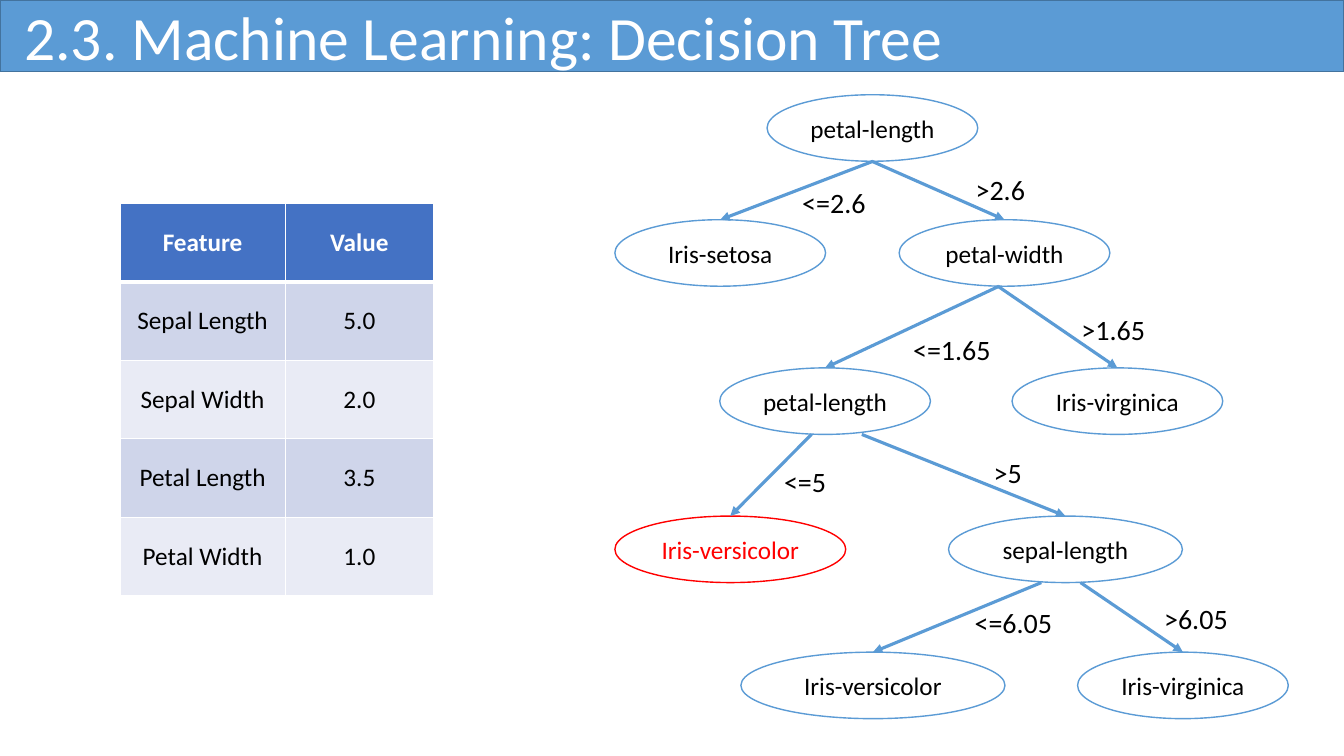
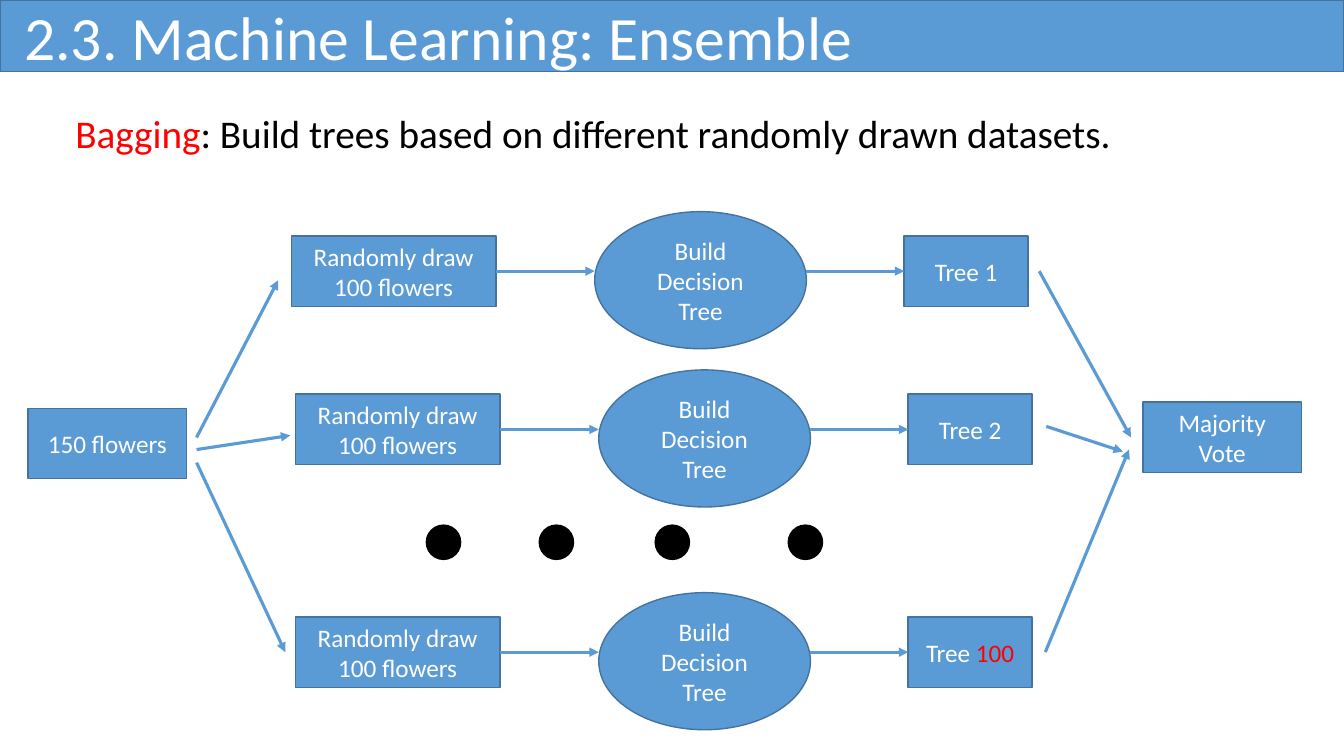
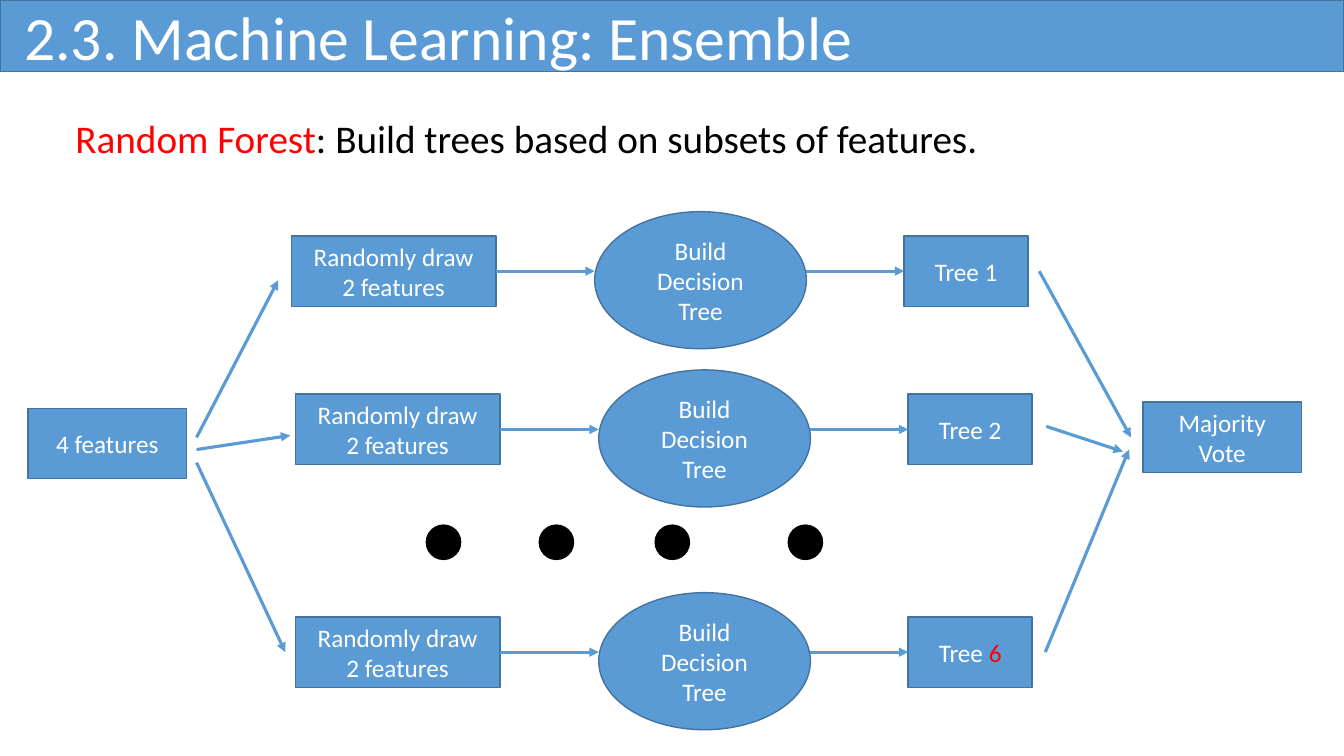
import lxml.etree
import pptx
import pptx.dml.color
import pptx.enum.shapes
import pptx.enum.text
import pptx.oxml.ns
import pptx.util

CELL = 0.1  # side of a square grid cell in inches
COLS, ROWS = 133.33, 75
BLUE, EDGE, RED, BLACK, WHITE = "5B9BD5", "43739E", "FF0000", "000000", "FFFFFF"
HEAD, BANDS = "4472C4", ("CFD5EA", "E9EBF5")
FONT = "Calibri"

KIND = pptx.enum.shapes.MSO_SHAPE
ALIGN = pptx.enum.text.PP_ALIGN
ANCHOR = pptx.enum.text.MSO_ANCHOR
TOP, LEFT, RIGHT = 0, 1, 3
qn = pptx.oxml.ns.qn


def grid(*cells):
    return [pptx.util.Inches(n * CELL) for n in cells]


def color(code):
    return pptx.dml.color.RGBColor.from_string(code)


def fill(thing, code):
    thing.fill.solid()
    thing.fill.fore_color.rgb = color(code)


def write(frame, text, size=18, ink=BLACK, bold=False, align=ALIGN.CENTER,
          anchor=ANCHOR.MIDDLE, wrap=True, space=None, before=None):
    """Fill a frame: a new line is a paragraph, *marked* words are red."""
    frame.word_wrap = wrap
    frame.vertical_anchor = anchor
    for i, line in enumerate(text.split("\n")):
        para = frame.add_paragraph() if i else frame.paragraphs[0]
        para.alignment = align
        if space:
            para.line_spacing = space
        if before:
            para.space_before = pptx.util.Pt(before)
        for j, piece in enumerate(line.split("*")):
            if piece:
                run = para.add_run()
                run.text = piece
                run.font.name = FONT
                run.font.size = pptx.util.Pt(size)
                run.font.bold = bold
                run.font.color.rgb = color(RED if j % 2 else ink)


class Deck:
    """The open presentation and the slide being drawn."""

    def __init__(self):
        self.show = pptx.Presentation()
        self.show.slide_width, self.show.slide_height = grid(COLS, ROWS)

    def page(self, title):
        self.slide = self.show.slides.add_slide(self.show.slide_layouts[6])
        band = self.shape(KIND.RECTANGLE, 0, 0, COLS, 7.1)
        band.text_frame.margin_left, = grid(2.4)
        write(band.text_frame, title, size=44, ink=WHITE, align=ALIGN.LEFT)

    def shape(self, kind, x, y, w, h, text="", paint=BLUE, edge=EDGE, ink=WHITE):
        item = self.slide.shapes.add_shape(kind, *grid(x, y, w, h))
        item.shadow.inherit = False
        fill(item, paint)
        item.line.color.rgb = color(edge)
        item.line.width = pptx.util.Pt(1)
        if text:
            write(item.text_frame, text, ink=ink)
        return item

    def label(self, text, x, y, w, h, **style):
        box = self.slide.shapes.add_textbox(*grid(x, y, w, h))
        write(box.text_frame, text, align=ALIGN.LEFT, anchor=ANCHOR.TOP, **style)

    def arrow(self, start, end, begin=None, finish=None):
        """Draw an arrow; begin and finish are (shape, side) joints."""
        kind = pptx.enum.shapes.MSO_CONNECTOR.STRAIGHT
        item = self.slide.shapes.add_connector(kind, *grid(*start, *end))
        if begin:
            item.begin_connect(*begin)
        if finish:
            item.end_connect(*finish)
        item.line.color.rgb = color(BLUE)
        item.line.width = pptx.util.Pt(2.25)
        props = item.element.spPr
        lxml.etree.SubElement(props.find(qn("a:ln")), qn("a:tailEnd"), type="triangle")
        lxml.etree.SubElement(props, qn("a:effectLst"))

    def table(self, x, y, widths, high, rows):
        size = grid(x, y, sum(widths), high * len(rows))
        table = self.slide.shapes.add_table(len(rows), len(widths), *size).table
        for col, wide in zip(table.columns, grid(*widths)):
            col.width = wide
        for r, row in enumerate(rows):
            table.rows[r].height, = grid(high)
            for c, text in enumerate(row):
                cell = table.cell(r, c)
                fill(cell, BANDS[(r - 1) % 2] if r else HEAD)
                write(cell.text_frame, text, ink=BLACK if r else WHITE, bold=r == 0)
                cell.vertical_anchor = ANCHOR.MIDDLE
                self.rim(cell, L=1, R=1, T=3 if r == 1 else 1, B=1 if r else 3)

    def rim(self, cell, **sides):
        """Set white cell borders, widths in points by side letter."""
        props = cell._tc.get_or_add_tcPr()
        for i, (side, width) in enumerate(sides.items()):
            line = lxml.etree.Element(qn("a:ln" + side), w=str(pptx.util.Pt(width)))
            paint = lxml.etree.SubElement(line, qn("a:solidFill"))
            lxml.etree.SubElement(paint, qn("a:srgbClr"), val=WHITE)
            props.insert(i, line)


def tree(deck):
    deck.page("2.3. Machine Learning: Decision Tree")
    deck.table(11.9, 20.2, (16.4, 14.7), 7.78, [
        ("Feature", "Value"), ("Sepal Length", "5.0"), ("Sepal Width", "2.0"),
        ("Petal Length", "3.5"), ("Petal Width", "1.0")])
    wide, high = 20.9, 6.6
    nodes = {
        "root": ("petal-length", 76.1, 9.4, wide),
        "setosa": ("Iris-setosa", 61, 21.8, wide),
        "width": ("petal-width", 89.2, 21.8, wide),
        "length": ("petal-length", 71.4, 36.5, wide),
        "right": ("Iris-virginica", 100.4, 36.5, wide),
        "match": ("*Iris-versicolor*", 61, 51.2, 22.9),
        "sepal": ("sepal-length", 94.1, 51.2, 23.2),
        "versi": ("Iris-versicolor", 73.5, 64.7, 26.2),
        "last": ("Iris-virginica", 106.9, 64.7, wide),
    }
    drawn = {
        name: deck.shape(KIND.OVAL, x, y, w, high, text, paint=WHITE,
                         edge=RED if name == "match" else BLUE, ink=BLACK)
        for name, (text, x, y, w) in nodes.items()}
    # parent, child, start column, rule, rule column, rule row
    for above, below, start, rule, x, y in (
            ("root", "setosa", 86.6, "<=2.6", 78.6, 17.9),
            ("root", "width", 86.5, ">2.6", 95.8, 16.6),
            ("width", "length", 99.1, "<=1.65", 89.6, 32.5),
            ("width", "right", 99, ">1.65", 106.3, 30.5),
            ("length", "match", 80.5, "<=5", 76.8, 45.6),
            ("length", "sepal", 85.5, ">5", 97.6, 44.7),
            ("sepal", "versi", 103.3, "<=6.05", 95.7, 59.6),
            ("sepal", "last", 107.2, ">6.05", 114.5, 59.2)):
        left, top, w = nodes[below][1:]
        deck.arrow((start, nodes[above][2] + high), (left + w / 2, top),
                   finish=(drawn[below], TOP))
        deck.label(rule, x, y, 2.5 + 1.25 * len(rule), 4.2, size=20, wrap=False)


def forest(deck, claim, top, source, draw, count):
    """Draw many trees that vote, built from random parts of the source."""
    deck.page("2.3. Machine Learning: Ensemble")
    deck.label(claim, 6.5, top, 110.7, 8.3, size=28, space=0.9, before=5)
    high = 7
    for mid, shift, name in ((26.9, -0.4, "1"), (42.6, 0, "2"), (64.7, 0, f"*{count}*")):
        y = mid - high / 2
        pick = deck.shape(KIND.RECTANGLE, 29.3 + shift, y, 20.3, high, draw)
        deck.shape(KIND.OVAL, 59.4 + shift, mid - 5.9, 21, 13.6, "Build Decision Tree")
        vote = deck.shape(KIND.RECTANGLE, 90.1 + shift, y, 12.3, high, f"Tree {name}")
        deck.arrow((49.6 + shift, mid), (59.4 + shift, mid), begin=(pick, RIGHT))
        deck.arrow((80.4 + shift, mid), (90.1 + shift, mid), finish=(vote, LEFT))
    for x in (42.3, 53.5, 65, 78.2):
        deck.shape(KIND.OVAL, x, 52.1, 3.4, 3.4, paint=BLACK, edge=BLACK)
    deck.shape(KIND.RECTANGLE, 2.8, 40.5, 15.7, high, source)
    deck.shape(KIND.RECTANGLE, 113.4, 39.9, 15.7, high, "Majority\nVote")
    for start, end in (
            ((19.5, 43.4), (27.6, 27.8)), ((19.5, 44.6), (28.8, 43.2)),
            ((19.5, 45.9), (28.3, 64.7)), ((103.1, 26.9), (112.2, 43.4)),
            ((103.8, 42.3), (111.4, 44.8)), ((103.7, 64.7), (112, 44.6))):
        deck.arrow(start, end)


def main():
    deck = Deck()
    tree(deck)
    forest(deck, "*Bagging*: Build trees based on different randomly drawn datasets.",
           10.9, "150 flowers", "Randomly draw 100 flowers", 100)
    forest(deck, "*Random Forest*: Build trees based on subsets of features.",
           11.4, "4 features", "Randomly draw\n2 features", 6)
    deck.show.save("out.pptx")


if __name__ == "__main__":
    main()
